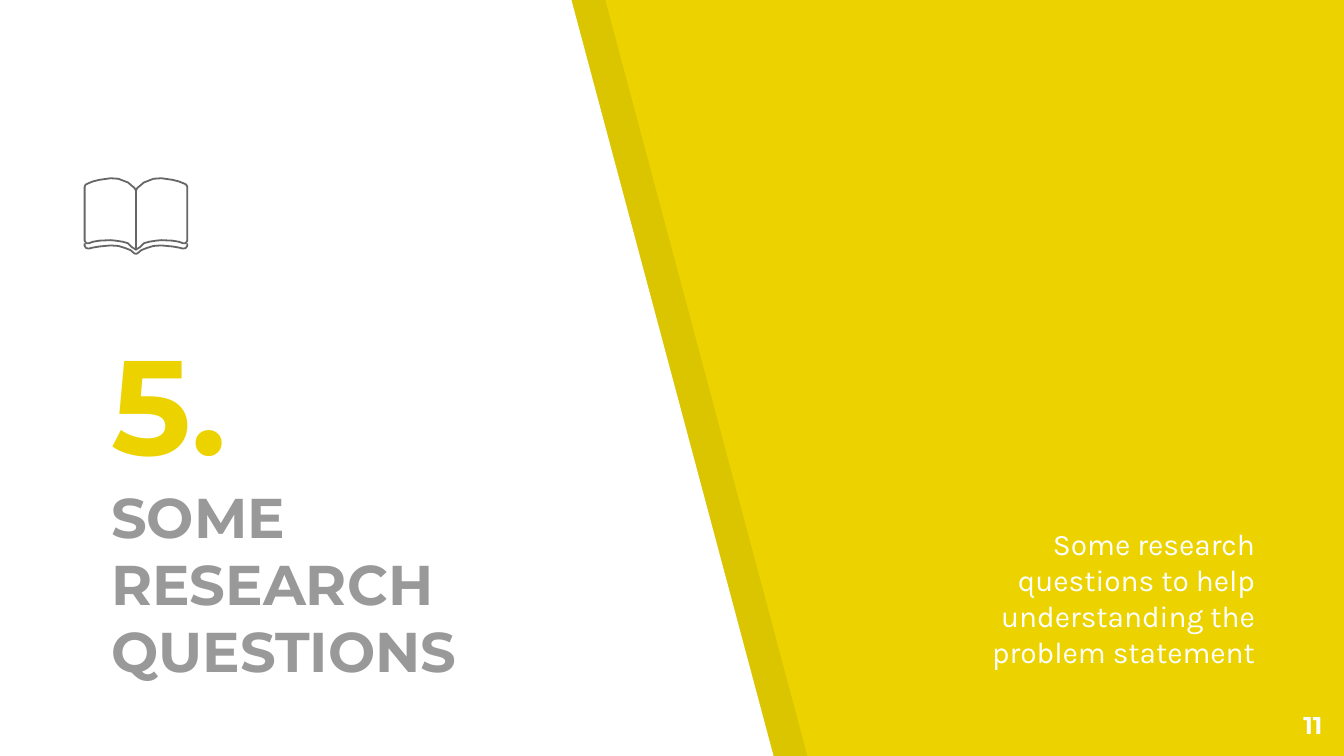
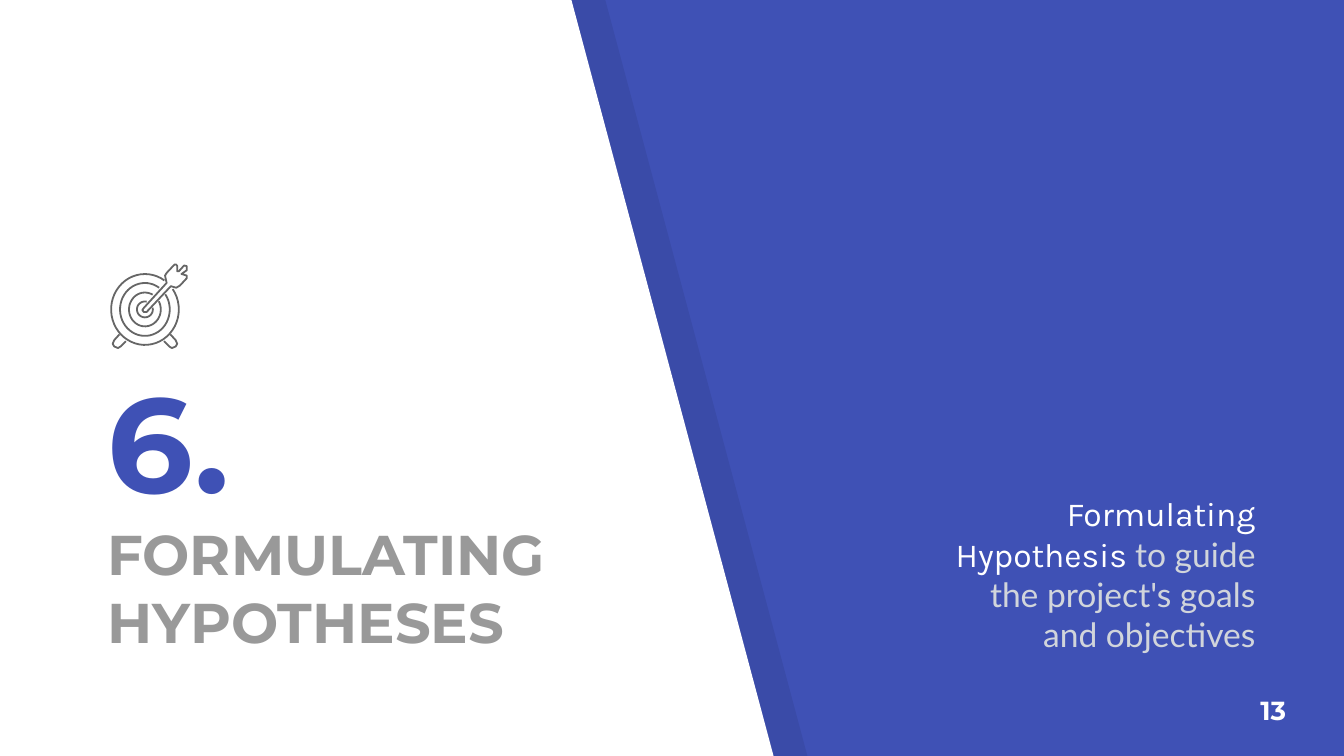
from dataclasses import dataclass
from math import cos, radians, sin
from typing import Callable, Optional

from lxml.etree import SubElement
from pptx import Presentation
from pptx.dml.color import RGBColor
from pptx.enum.text import MSO_ANCHOR as Anchor
from pptx.enum.text import MSO_AUTO_SIZE as AutoSize
from pptx.enum.text import PP_ALIGN as Align
from pptx.oxml.ns import qn
from pptx.util import Cm, Pt

Points = list[tuple[float, float]]

COLORS = {
    "yellow": "ECD300",
    "indigo": "3F51B5",
    "white": "FFFFFF",
    "shade": "000000",
    "heading": "999999",
    "icon": "666666",
    "pale": "D1D5DB",
}
WIDTH, HEIGHT = 25.4, 14.29
PANEL_TOP, PANEL_BOTTOM = 10.8, 14.62
SHADE_OFFSET = 0.64
SHADE_ALPHA = 7
INSET = 0.25

SPINE_X = 2.57
PAGE: Points = [
    (0, 3.6), (0, 4.72), (0.08, 4.67), (0.15, 4.6), (0.25, 4.57), (0.38, 4.55),
    (0.48, 4.54), (0.69, 4.55), (0.81, 4.57), (0.89, 4.6), (0.94, 4.6),
    (0.97, 4.55), (0.97, 3.53), (0.95, 3.49), (0.91, 3.47), (0.81, 3.43),
    (0.69, 3.4), (0.48, 3.37), (0.33, 3.38), (0.23, 3.42), (0.15, 3.45),
    (0.08, 3.51), (0.03, 3.55),
]
COVER: Points = [
    (0.97, 4.6), (0.97, 4.65), (0.94, 4.69), (0.89, 4.7), (0.81, 4.68),
    (0.69, 4.66), (0.48, 4.64), (0.33, 4.65), (0.2, 4.69), (0.1, 4.73),
    (0.03, 4.79), (0, 4.8),
]

TARGET_X, TARGET_Y = 2.74, 5.85
FOOT: Points = [
    (0.48, 6.32), (0.58, 6.43), (0.61, 6.5), (0.58, 6.55), (0.51, 6.58),
    (0.46, 6.55), (0.36, 6.45),
]
ARROW: Points = [
    (3.53, 5.21), (3.43, 5.18), (3.53, 5.11), (3.53, 5.03), (3.48, 5.02),
    (3.38, 5.13), (3.35, 5.13), (3.35, 5.03), (3.33, 5), (3.3, 5),
    (3.15, 5.16), (3.12, 5.21), (3.15, 5.35), (2.72, 5.82), (2.69, 5.86),
    (2.72, 5.9), (2.77, 5.9), (3.23, 5.41), (3.33, 5.44), (3.4, 5.4),
    (3.53, 5.26),
]


@dataclass(frozen=True)
class Box:
    left: float
    top: float
    width: float
    height: float


@dataclass(frozen=True)
class Ring:
    rx: float
    ry: float
    half_gap: float


@dataclass(frozen=True)
class Span:
    text: str
    font: str
    color: str


@dataclass(frozen=True)
class PageNumber:
    text: str
    box: Box
    size: float
    align: Align


@dataclass(frozen=True)
class Section:
    accent: str
    number: str
    heading: str
    title_box: Box
    summary: list[Span]
    summary_size: float
    summary_box: Box
    page: PageNumber
    draw_icon: Callable


RINGS = [
    Ring(0.64, 0.67, 10),
    Ring(0.47, 0.5, 10),
    Ring(0.3, 0.32, 16),
    Ring(0.15, 0.15, 32),
]


def rgb(name: str) -> RGBColor:
    return RGBColor.from_string(COLORS[name])


def set_font(font, name: str, size: float, color: str, bold: bool = False) -> None:
    font.name = name
    font.size = Pt(size)
    font.bold = bold
    font.color.rgb = rgb(color)


def outline(shapes, points: Points, closed: bool = True):
    corners = [(Cm(x), Cm(y)) for x, y in points]
    builder = shapes.build_freeform(*corners[0], scale=1.0)
    builder.add_line_segments(corners[1:], close=closed)
    shape = builder.convert_to_shape()
    shape.shadow.inherit = False
    return shape


def stroke(shapes, points: Points, closed: bool = True) -> None:
    shape = outline(shapes, points, closed)
    shape.fill.background()
    shape.line.color.rgb = rgb("icon")
    shape.line.width = Pt(0.96)


def stroke_both_sides(shapes, axis: float, half: Points, closed: bool) -> None:
    """Draw a half given by distance from a vertical axis, and its mirror."""
    for side in (-1, 1):
        stroke(shapes, [(axis + side * dx, y) for dx, y in half], closed)


def draw_book(shapes) -> None:
    stroke_both_sides(shapes, SPINE_X, COVER, closed=False)
    stroke_both_sides(shapes, SPINE_X, PAGE, closed=True)


def ring_points(ring: Ring, steps: int = 48) -> Points:
    """Trace a ring that is open towards the upper right, where the arrow enters."""
    sweep = 360 - 2 * ring.half_gap
    angles = [radians(45 + ring.half_gap + sweep * i / steps) for i in range(steps + 1)]
    return [(TARGET_X + ring.rx * cos(a), TARGET_Y - ring.ry * sin(a)) for a in angles]


def draw_target(shapes) -> None:
    for ring in RINGS:
        stroke(shapes, ring_points(ring), closed=False)
    stroke_both_sides(shapes, TARGET_X, FOOT, closed=False)
    stroke(shapes, ARROW)


def draw_panel(shapes, offset: float, color: str, alpha: Optional[int] = None) -> None:
    panel = outline(shapes, [
        (offset, 0), (offset, HEIGHT),
        (PANEL_BOTTOM + offset, HEIGHT), (PANEL_TOP + offset, 0),
    ])
    panel.fill.solid()
    panel.fill.fore_color.rgb = rgb(color)
    panel.line.fill.background()
    if alpha is not None:
        tint = panel.element.spPr.find(".//" + qn("a:srgbClr"))
        SubElement(tint, qn("a:alpha"), val=str(alpha * 1000))


def prepare_frame(shape, anchor: Anchor):
    frame = shape.text_frame
    frame.word_wrap = True
    frame.auto_size = AutoSize.NONE
    frame.vertical_anchor = anchor
    frame.margin_left = frame.margin_right = Cm(INSET)
    frame.margin_top = frame.margin_bottom = Cm(INSET)
    return frame


def add_text_box(shapes, box: Box, anchor: Anchor):
    shape = shapes.add_textbox(Cm(box.left), Cm(box.top), Cm(box.width), Cm(box.height))
    return prepare_frame(shape, anchor)


def fill_title(title, section: Section) -> None:
    box = section.title_box
    title.left, title.top = Cm(box.left), Cm(box.top)
    title.width, title.height = Cm(box.width), Cm(box.height)
    # The placeholder comes first in the tree; lift it above the panels.
    title.element.getparent().append(title.element)
    frame = prepare_frame(title, Anchor.BOTTOM)
    frame.text = f"{section.number}\n{section.heading}"
    styles = [(72, section.accent), (30, "heading")]
    for paragraph, (size, color) in zip(frame.paragraphs, styles):
        paragraph.alignment = Align.LEFT
        set_font(paragraph.font, "Montserrat", size, color, bold=True)


def add_summary(shapes, section: Section) -> None:
    frame = add_text_box(shapes, section.summary_box, Anchor.BOTTOM)
    paragraph = frame.paragraphs[0]
    paragraph.alignment = Align.RIGHT
    for span in section.summary:
        run = paragraph.add_run()
        run.text = span.text
        set_font(run.font, span.font, section.summary_size, span.color)


def add_page_number(shapes, page: PageNumber) -> None:
    paragraph = add_text_box(shapes, page.box, Anchor.TOP).paragraphs[0]
    paragraph.text = page.text
    paragraph.alignment = page.align
    set_font(paragraph.font, "Montserrat", page.size, "white", bold=True)


def add_section(deck, section: Section) -> None:
    slide = deck.slides.add_slide(deck.slide_layouts[5])
    slide.background.fill.solid()
    slide.background.fill.fore_color.rgb = rgb(section.accent)
    draw_panel(slide.shapes, SHADE_OFFSET, "shade", SHADE_ALPHA)
    draw_panel(slide.shapes, 0, "white")
    fill_title(slide.shapes.title, section)
    add_summary(slide.shapes, section)
    add_page_number(slide.shapes, section.page)
    section.draw_icon(slide.shapes.add_group_shape().shapes)


SECTIONS = [
    Section(
        accent="yellow",
        number="5.",
        heading="SOME RESEARCH QUESTIONS",
        title_box=Box(1.85, 4.88, 9.78, 8.3),
        summary=[Span("Some research questions to help understanding the problem statement",
                      "Karla", "white")],
        summary_size=16,
        summary_box=Box(17.7, 9.07, 6.27, 3.83),
        page=PageNumber("11", Box(23.72, 13.18, 1.52, 1.09), 13, Align.RIGHT),
        draw_icon=draw_book,
    ),
    Section(
        accent="indigo",
        number="6.",
        heading="FORMULATING HYPOTHESES",
        title_box=Box(1.78, 4.32, 9.78, 8.3),
        summary=[Span("Formulating Hypothesis ", "Karla", "white"),
                 Span("to guide the project's goals and objectives", "Lato", "pale")],
        summary_size=18,
        summary_box=Box(17.53, 9.75, 6.45, 2.87),
        page=PageNumber("13", Box(23.57, 12.88, 1.27, 0.86), 14, Align.LEFT),
        draw_icon=draw_target,
    ),
]


def main() -> None:
    deck = Presentation()
    deck.slide_width, deck.slide_height = Cm(WIDTH), Cm(HEIGHT)
    for section in SECTIONS:
        add_section(deck, section)
    deck.save("out.pptx")


if __name__ == "__main__":
    main()
